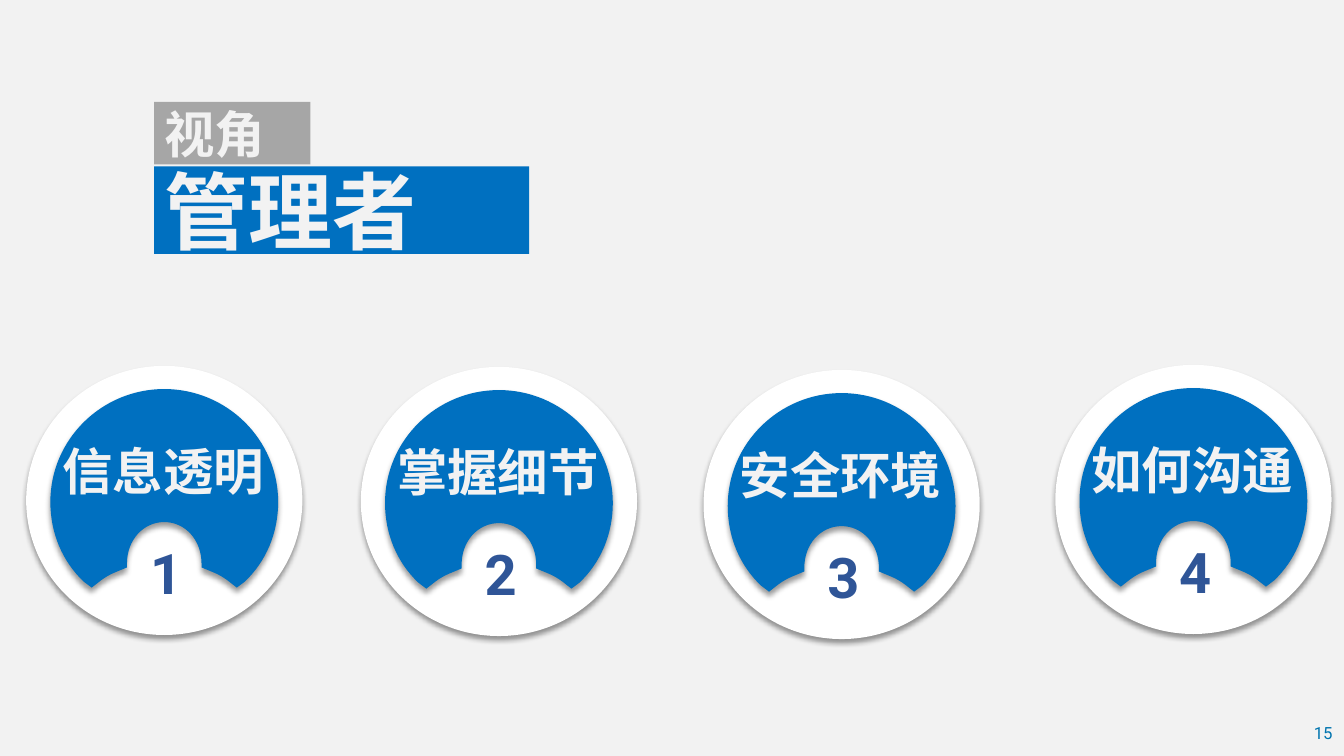
from lxml import etree
from pptx import Presentation, util as u
from pptx.dml.color import RGBColor
from pptx.enum import shapes, text
from pptx.oxml.ns import qn

CJK, LATIN = "Noto Sans CJK SC", "Roboto"
BLUE, PALE = "0070C0", "F2F2F2"

# Right half of the blue badge face, from the top middle: 3 points make a curve, 1 a line
FACE_HALF = [
    [(0.62, 0), (1.13, 0.5), (1.13, 1.12)],
    [(1.13, 1.43), (1.01, 1.71), (0.8, 1.91)],
    [(0.72, 1.97)],
    [(0.63, 1.9)],
    [(0.59, 1.87), (0.54, 1.84), (0.49, 1.82)],
    [(0.37, 1.77)],
    [(0.37, 1.73)],
    [(0.37, 1.5), (0.21, 1.32), (0, 1.32)],
]


def color(hex_value):
    return RGBColor.from_string(hex_value)


def box(left, top, width, height):
    return [u.Inches(length) for length in (left, top, width, height)]


def paint(shape, fill):
    shape.shadow.inherit = False
    shape.fill.solid()
    shape.fill.fore_color.rgb = color(fill)
    shape.line.fill.background()


def cast_shadow(shape):
    effects = shape._element.spPr.find(qn("a:effectLst"))
    shadow = etree.SubElement(effects, qn("a:outerShdw"), blurRad=str(u.Pt(4)),
                              dist=str(u.Pt(3)), dir="5400000", algn="t", rotWithShape="0")
    black = etree.SubElement(shadow, qn("a:srgbClr"), val="000000")
    etree.SubElement(black, qn("a:alpha"), val="40000")


def write(shape, words, size, font, hue, bold=True, wrap=True, grow=False,
          anchor=text.MSO_ANCHOR.TOP, align=text.PP_ALIGN.LEFT):
    frame = shape.text_frame
    frame.word_wrap = wrap
    frame.vertical_anchor = anchor
    if grow:
        frame.auto_size = text.MSO_AUTO_SIZE.SHAPE_TO_FIT_TEXT
    paragraph = frame.paragraphs[0]
    paragraph.alignment = align
    run = paragraph.add_run()
    run.text = words
    for key, value in {"size": u.Pt(size), "bold": bold, "name": font}.items():
        setattr(run.font, key, value)
    run.font.color.rgb = color(hue)
    etree.SubElement(run._r.get_or_add_rPr(), qn("a:ea"), typeface=font)


def add_face(slide, middle, top):
    """Draws the badge face, symmetric about its middle, with true curves."""
    right = [(0, 0)] + [point for segment in FACE_HALF for point in segment]
    outline = right + [(-x, y) for x, y in right[-2::-1]]
    sizes = [len(segment) for segment in FACE_HALF]

    points = [(u.Inches(middle + x), u.Inches(top + y)) for x, y in outline]
    builder = slide.shapes.build_freeform(*points[0])
    builder.add_line_segments(points[1:], close=True)
    face = builder.convert_to_shape()

    lines = iter(list(face._element.iter(qn("a:lnTo"))))
    for size in sizes + sizes[::-1]:
        segment = [next(lines) for _ in range(size)]
        if size == 3:
            curve = etree.Element(qn("a:cubicBezTo"))
            segment[0].addprevious(curve)
            for line in segment:
                curve.append(line[0])
                line.getparent().remove(line)
    paint(face, BLUE)
    cast_shadow(face)


def add_title(slide, left, top):
    title = slide.shapes.add_group_shape()
    bars = [("视角", 36, "A6A6A6", 0, 1.55, 0.62), ("管理者", 60, BLUE, 0.64, 3.72, 0.87)]
    for words, size, fill, drop, width, height in bars:
        bar = title.shapes.add_shape(shapes.MSO_SHAPE.RECTANGLE,
                                     *box(left, top + drop, width, height))
        paint(bar, fill)
        write(bar, words, size, CJK, PALE, anchor=text.MSO_ANCHOR.MIDDLE)


def add_badge(slide, left, top, number, topic):
    disc = slide.shapes.add_shape(shapes.MSO_SHAPE.OVAL, *box(left, top, 2.74, 2.67))
    paint(disc, "FFFFFF")
    cast_shadow(disc)

    digit = slide.shapes.add_textbox(*box(left + 1.13, top + 1.66, 0.22, 0.77))
    write(digit, str(number), 40, LATIN, "2F5597", grow=True)

    add_face(slide, left + 1.37, top + 0.23)

    label = slide.shapes.add_textbox(*box(left + 0.26, top + 0.69, 2.28, 0.71))
    write(label, topic, 36, CJK, PALE, grow=True)


def add_page_number(slide, left, top):
    page = slide.shapes.add_textbox(*box(left, top, 0.47, 0.4))
    write(page, "15", 12, LATIN, "0074AF", bold=False, wrap=False,
          anchor=text.MSO_ANCHOR.MIDDLE, align=text.PP_ALIGN.RIGHT)


def main():
    deck = Presentation()
    deck.slide_width, deck.slide_height = u.Inches(40 / 3), u.Inches(7.5)
    slide = deck.slides.add_slide(deck.slide_layouts[6])
    slide.background.fill.solid()
    slide.background.fill.fore_color.rgb = color(PALE)

    add_page_number(slide, 12.85, 7.07)
    add_title(slide, 1.53, 1.01)
    badges = [(0.26, 3.63, "信息透明"), (3.58, 3.64, "掌握细节"),
              (6.98, 3.67, "安全环境"), (10.47, 3.62, "如何沟通")]
    for number, (left, top, topic) in enumerate(badges, 1):
        add_badge(slide, left, top, number, topic)
    deck.save("out.pptx")


if __name__ == "__main__":
    main()
